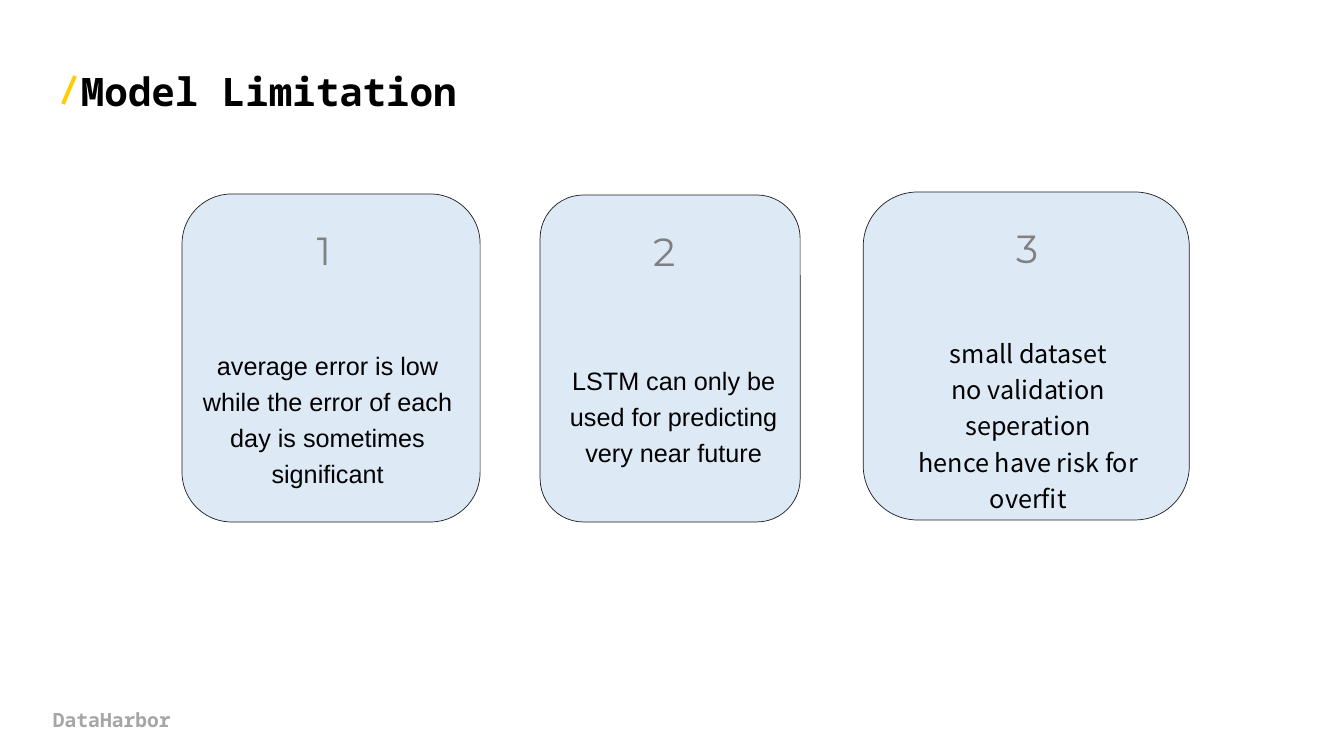
from pptx import Presentation
from pptx.dml.color import RGBColor
from pptx.enum.shapes import MSO_CONNECTOR, MSO_SHAPE
from pptx.enum.text import MSO_ANCHOR, PP_ALIGN
from pptx.oxml.ns import qn
from pptx.util import Inches, Pt
from lxml.etree import SubElement

PIXEL = Inches(1) / 100.8
BLACK = RGBColor(0x00, 0x00, 0x00)
GRAY = RGBColor(0x80, 0x80, 0x80)
LIGHT_GRAY = RGBColor(0xA6, 0xA6, 0xA6)
OUTLINE = RGBColor(0x1F, 0x1F, 0x1F)
PALE_BLUE = RGBColor(0xDD, 0xEA, 0xF6)
YELLOW = RGBColor(0xFF, 0xCD, 0x00)


def scaled(*lengths):
    return [round(length * PIXEL) for length in lengths]


def add_text(text, box, size, font, color, bold=False, align=PP_ALIGN.LEFT,
             anchor=MSO_ANCHOR.TOP, line_spacing=1.0):
    frame = slide.shapes.add_textbox(*scaled(*box)).text_frame
    frame.word_wrap = True
    frame.vertical_anchor = anchor
    frame.text = text
    for paragraph in frame.paragraphs:
        paragraph.alignment = align
        paragraph.line_spacing = line_spacing
        paragraph.font.size = Pt(size)
        paragraph.font.name = font
        paragraph.font.bold = bold
        paragraph.font.color.rgb = color
        for run in paragraph.runs:
            east_asian = SubElement(run._r.get_or_add_rPr(), qn("a:ea"))
            east_asian.set("typeface", font)


presentation = Presentation()
presentation.slide_width, presentation.slide_height = Inches(13.33), Inches(7.5)
slide = presentation.slides.add_slide(presentation.slide_layouts[6])

# Title with its yellow slash
add_text("Model Limitation", (71, 62, 425, 57), 28, "Noto Sans Mono", BLACK,
         bold=True, anchor=MSO_ANCHOR.MIDDLE)
slash = slide.shapes.add_connector(MSO_CONNECTOR.STRAIGHT, *scaled(75, 76, 63, 104))
slash.line.color.rgb = YELLOW
slash.line.width = Pt(2.75)
SubElement(slash._element.spPr, qn("a:effectLst"))

# Limitation cards: card box, number centre, text box, font, text
limitations = [
    ((182, 194, 298, 328), 324, (187, 339, 281, 156), "Arial",
     "average error is low\nwhile the error of each day is sometimes significant"),
    ((540, 195, 260, 327), 664, (550, 354, 247, 120), "Arial",
     "LSTM can only be used for predicting very near future"),
    ((863, 192, 326, 328), 1027, (879, 327, 298, 193), "Noto Sans CJK SC",
     "small dataset\nno validation seperation\nhence have risk for overfit"),
]
for number, (card_box, center, text_box, font, text) in enumerate(limitations, 1):
    card = slide.shapes.add_shape(MSO_SHAPE.ROUNDED_RECTANGLE, *scaled(*card_box))
    card.shadow.inherit = False
    card.fill.solid()
    card.fill.fore_color.rgb = PALE_BLUE
    card.line.color.rgb = OUTLINE
    card.line.width = Pt(0.5)
    add_text(str(number), (center - 40, card_box[1] + 27, 80, 60), 28, "Montserrat",
             GRAY, align=PP_ALIGN.CENTER)
    add_text(text, text_box, 18, font, BLACK, align=PP_ALIGN.CENTER, line_spacing=1.2)

# Footer
add_text("DataHarbor", (43, 703, 313, 34), 14, "Noto Sans Mono", LIGHT_GRAY, bold=True)

presentation.save("out.pptx")
